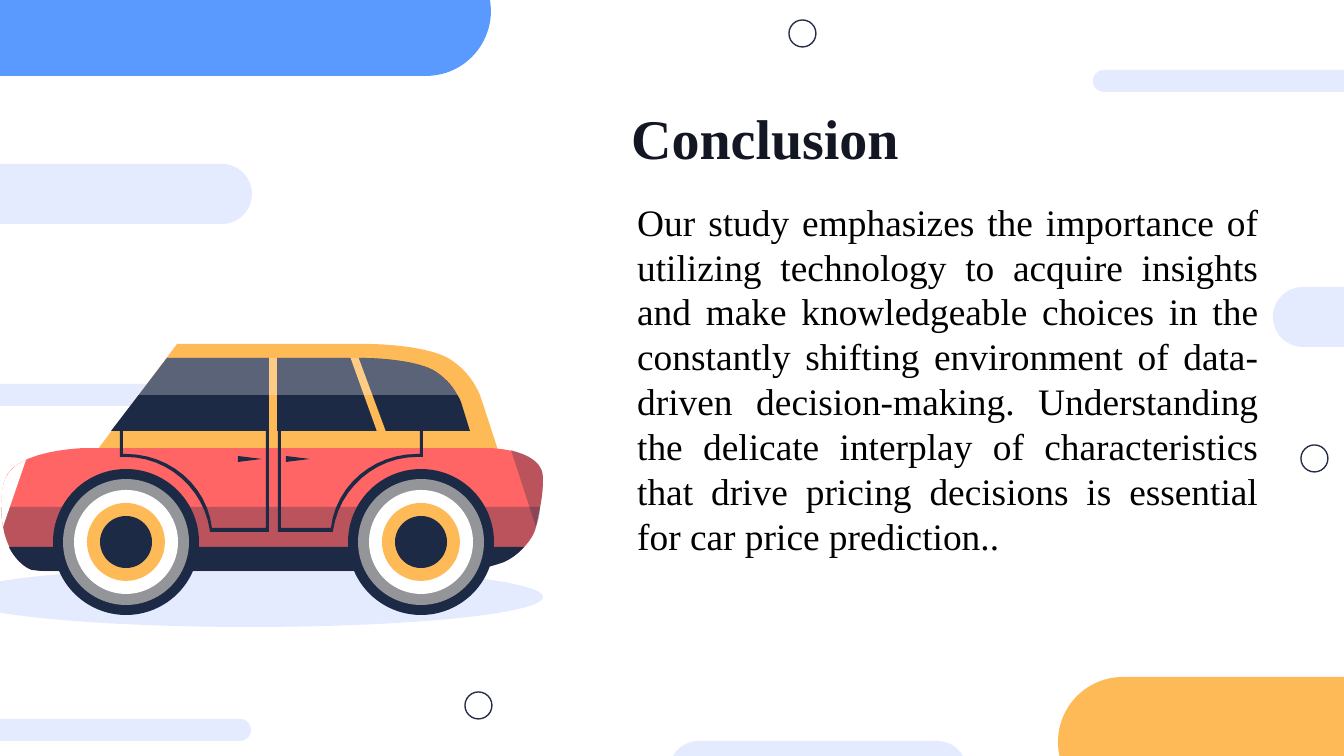
from dataclasses import dataclass
from lxml.etree import SubElement
from pptx import Presentation
from pptx.dml.color import RGBColor as RGB
from pptx.enum.shapes import MSO_SHAPE as Kind
from pptx.enum.text import MSO_ANCHOR as Anchor, PP_ALIGN as Align
from pptx.oxml.ns import qn
from pptx.util import Pt

PX = 914400 / 134.4
STEPS = 12


@dataclass(frozen=True)
class Theme:
    font: str = "Times New Roman"
    head: int = 30
    body: int = 20
    lead: int = 24
    ink: str = "131724"
    black: str = "000000"
    white: str = "FFFFFF"
    blue: str = "5A9AFF"
    pale: str = "E4EBFF"
    amber: str = "FFBA58"
    red: str = "FF6565"
    navy: str = "1D2A46"
    gray: str = "939598"
    ring: str = "262E47"


def emu(px):
    return round(px * PX)


def trace(path):
    """Flatten a path: a pair is a corner, six numbers are a Bezier curve."""
    pts = [path[0]]
    for part in path[1:]:
        if len(part) == 2:
            pts.append(part)
            continue
        knots = [pts[-1], part[:2], part[2:4], part[4:]]
        for i in range(1, STEPS + 1):
            t = i / STEPS
            w = ((1 - t) ** 3, 3 * t * (1 - t) ** 2, 3 * t * t * (1 - t), t ** 3)
            pts.append(tuple(sum(a * k[n] for a, k in zip(w, knots)) for n in (0, 1)))
    return [(emu(x), emu(y)) for x, y in pts]


class Pen:
    def __init__(self, slide, theme):
        self.shapes = slide.shapes
        self.theme = theme

    def paint(self, shape, fill, alpha=100):
        shape.shadow.inherit = False
        shape.line.fill.background()
        shape.fill.solid()
        shape.fill.fore_color.rgb = RGB.from_string(fill)
        if alpha < 100:
            color = shape.fill._xPr.find(qn("a:solidFill"))[0]
            SubElement(color, qn("a:alpha")).set("val", str(alpha * 1000))

    def box(self, kind, x, y, w, h, fill):
        shape = self.shapes.add_shape(kind, emu(x), emu(y), emu(w), emu(h))
        self.paint(shape, fill)
        return shape

    def pill(self, x, y, size, fill):
        self.box(Kind.ROUNDED_RECTANGLE, x, y, *size, fill).adjustments[0] = 0.5

    def disc(self, x, y, r, fill):
        self.box(Kind.OVAL, x - r, y - r, 2 * r, 2 * r, fill)

    def ring(self, x, y, size):
        shape = self.box(Kind.OVAL, x, y, size, size, self.theme.white)
        shape.fill.background()
        shape.line.color.rgb = RGB.from_string(self.theme.ring)
        shape.line.width = Pt(0.75)

    def form(self, path, fill, alpha=100):
        pts = trace(path)
        build = self.shapes.build_freeform(*pts[0], scale=1.0)
        build.add_line_segments(pts[1:], close=True)
        self.paint(build.convert_to_shape(), fill, alpha)

    def text(self, x, y, w, h, words, size, color, align, anchor=Anchor.TOP,
             pad=7, bold=False, lead=None):
        frame = self.shapes.add_textbox(emu(x), emu(y), emu(w), emu(h)).text_frame
        frame.word_wrap = True
        frame.vertical_anchor = anchor
        frame.margin_top = frame.margin_bottom = emu(pad)
        para = frame.paragraphs[0]
        para.text = words
        para.alignment = align
        if lead:
            para.line_spacing = Pt(lead)
        font = para.font
        font.name, font.size, font.bold = self.theme.font, Pt(size), bold
        font.color.rgb = RGB.from_string(color)


def decor(pen):
    t = pen.theme
    slab, pill, bar = (574, 130), (298, 60), (512, 22)
    for x, y, size, fill in (
        (-83, -54, slab, t.blue), (1093, 70, bar, t.pale),
        (-46, 164, pill, t.pale), (1058, 677, (512, 130), t.amber),
        (669, 741, pill, t.pale), (-261, 719, bar, t.pale),
        (-286, 384, bar, t.pale), (1273, 287, pill, t.pale),
    ):
        pen.pill(x, y, size, fill)
    for x, y in ((465, 692), (789, 20), (1301, 445)):
        pen.ring(x, y, 27)


def door(seam, side, w):
    """Outline of a door w wide, growing from the seam to one side."""
    arch = [(w, 425), (w, 457), (w - 6, 457),
            (w - 48, 457, w - 84, 489, w - 90, 531), (w - 90, 532),
            (0, 532), (0, 425), (3, 425), (3, 528), (w - 92, 528),
            (w - 87, 485, w - 49, 454, w - 6, 454), (w - 3, 454), (w - 3, 425)]
    return [tuple(v if i % 2 else seam + side * v for i, v in enumerate(p))
            for p in arch]


def car(pen):
    t = pen.theme
    pen.box(Kind.OVAL, -43, 567, 586, 60, t.pale)
    pen.form([(177, 344), (89, 461), (500, 456), (480, 395),
              (476, 386, 468, 370, 448, 358), (422, 344, 368, 344, 368, 344)], t.amber)

    nose = (4, 532, 11, 563, 32, 570)
    hull = [(36, 570, 39, 571, 43, 571), (457, 571), (464, 571, 474, 570, 480, 569),
            (487, 567, 496, 565, 504, 562)]
    tail = (525, 551, 534, 536, 536, 527)
    rear = [(540, 509, 543, 495, 543, 481), (543, 477)]
    pen.form([(87, 448), (86, 448, 12, 449, 4, 482), (0, 500, 1, 517, 4, 531), nose,
              *hull, tail, *rear, (542, 449, 491, 448, 487, 448)], t.red)
    pen.form([(1, 507), (1, 516, 3, 524, 4, 531), nose, *hull, tail,
              (539, 520, 540, 513, 540, 507)], t.navy, 30)
    pen.form([(511, 450), (536, 527), *rear, (543, 461, 525, 454, 511, 450)], t.navy, 30)
    pen.form([(9, 547), (13, 556, 22, 566, 32, 570), *hull,
              (513, 558, 520, 552, 524, 547)], t.navy)
    pen.form([(26, 460), (15, 465, 7, 473, 4, 482), (0, 497, 1, 513, 3, 527)], t.white)

    for x in (126, 421):
        for r, fill in ((73, t.navy), (63, t.gray), (52, t.white),
                        (39, t.amber), (26, t.navy)):
            pen.disc(x, 542, r, fill)

    roof = (410, 358, 363, 358, 363, 358)
    pen.form([(167, 358), (111, 431), (470, 431), (461, 402),
              (458, 395, 450, 380, 433, 370), roof], t.navy)
    pen.box(Kind.RECTANGLE, 269, 348, 8, 100, t.amber)
    pen.form([(347, 348), (383, 448), (392, 448), (355, 348)], t.amber)
    pen.form([(167, 358), (138, 395), (458, 395),
              (453, 388, 446, 378, 433, 370), roof], t.white, 27)
    pen.form(door(269, -1, 149), t.navy)
    pen.form(door(278, 1, 145), t.navy)
    for x in (238, 286):
        pen.form([(x, 456), (x, 462), (x + 24, 459)], t.navy)


def main():
    deck = Presentation()
    deck.slide_width, deck.slide_height = emu(1344), emu(756)
    t = Theme()
    pen = Pen(deck.slides.add_slide(deck.slide_layouts[6]), t)
    decor(pen)
    pen.text(212, 24, 700, 160, "Conclusion", t.head, t.ink, Align.RIGHT,
             Anchor.BOTTOM, pad=13, bold=True)
    car(pen)
    pen.text(624, 190, 648, 375,
             "Our study emphasizes the importance of utilizing technology to acquire "
             "insights and make knowledgeable choices in the constantly shifting "
             "environment of data-driven decision-making. Understanding the delicate "
             "interplay of characteristics that drive pricing decisions is essential "
             "for car price prediction..",
             t.body, t.black, Align.JUSTIFY, pad=9, lead=t.lead)
    deck.save("out.pptx")


if __name__ == "__main__":
    main()
